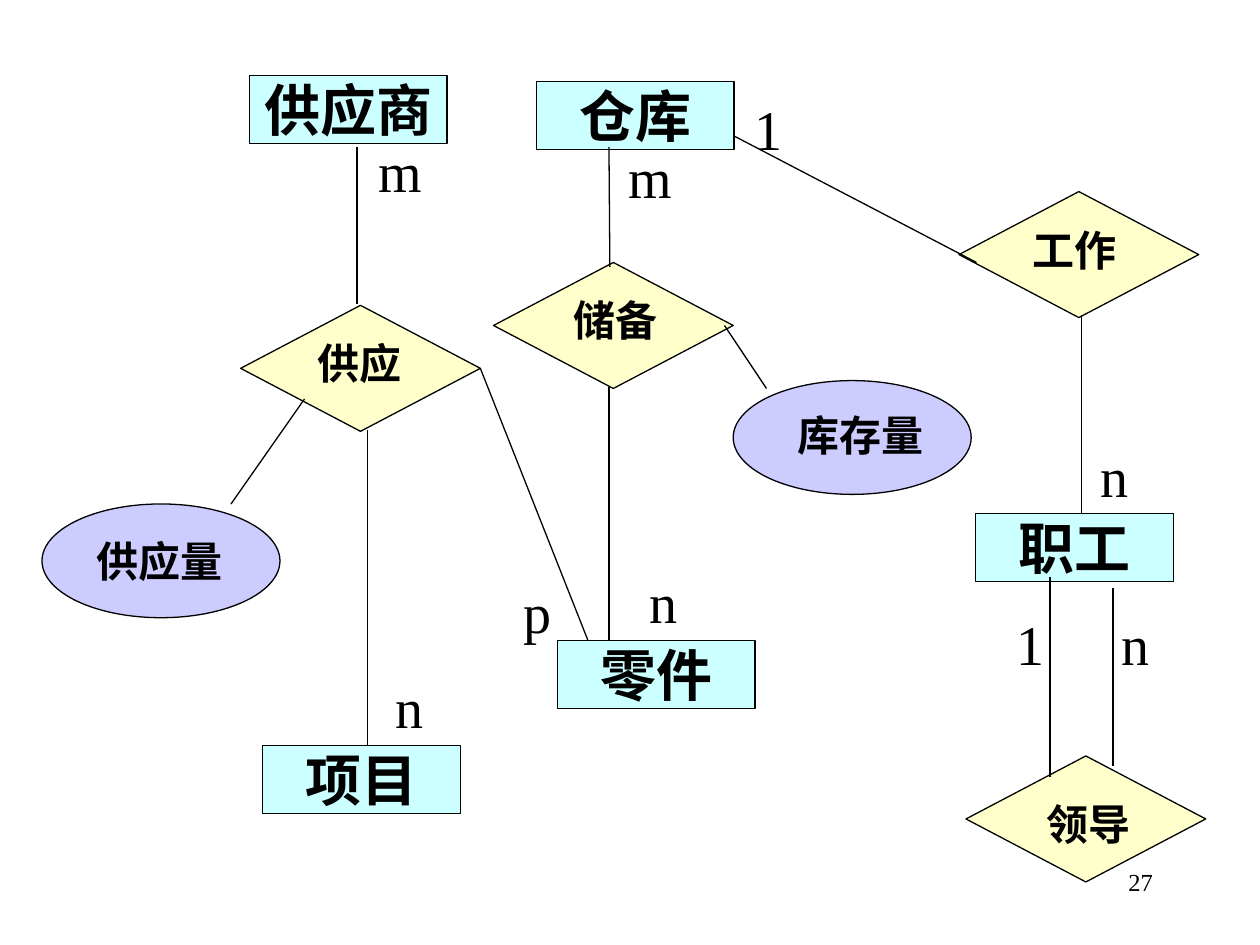
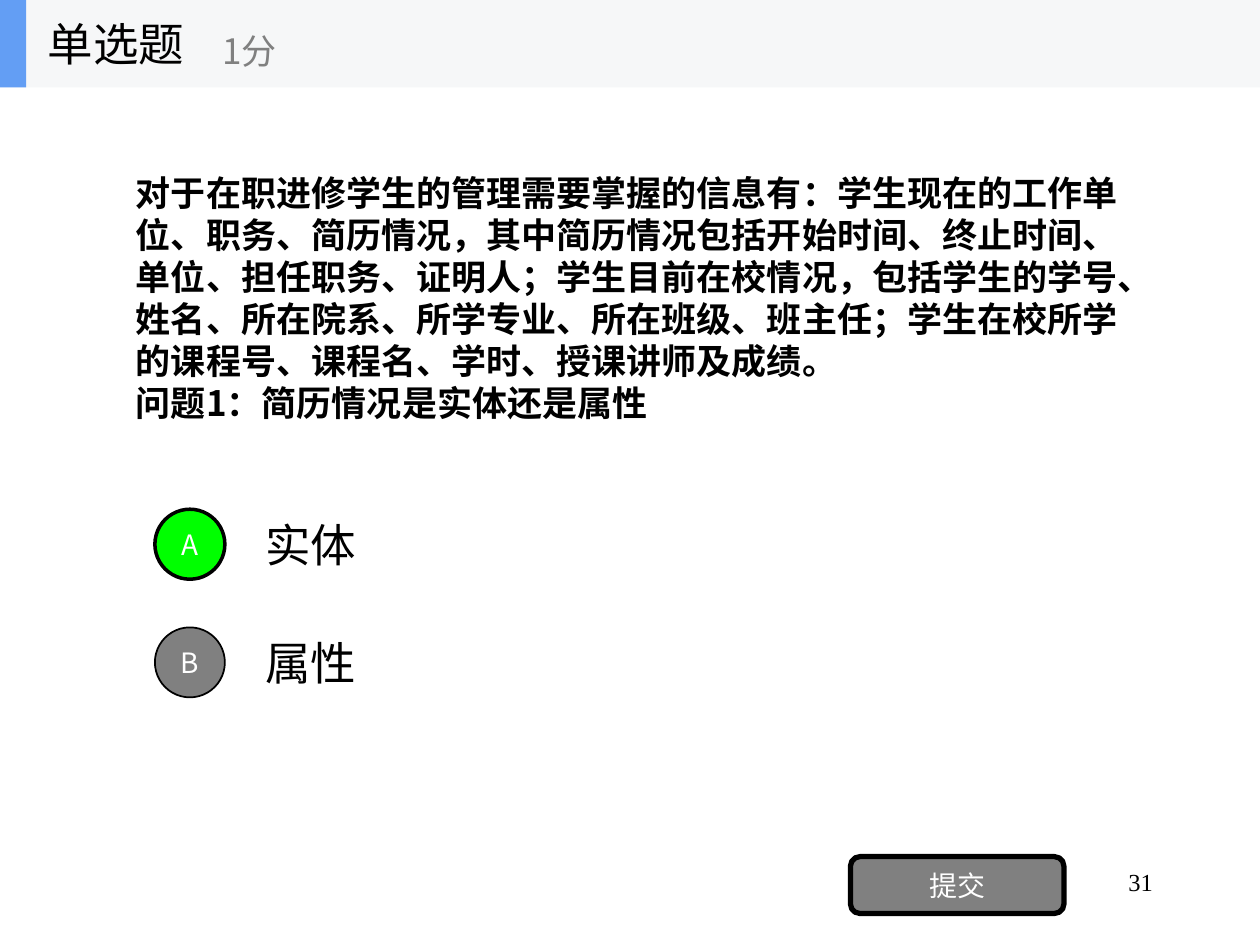
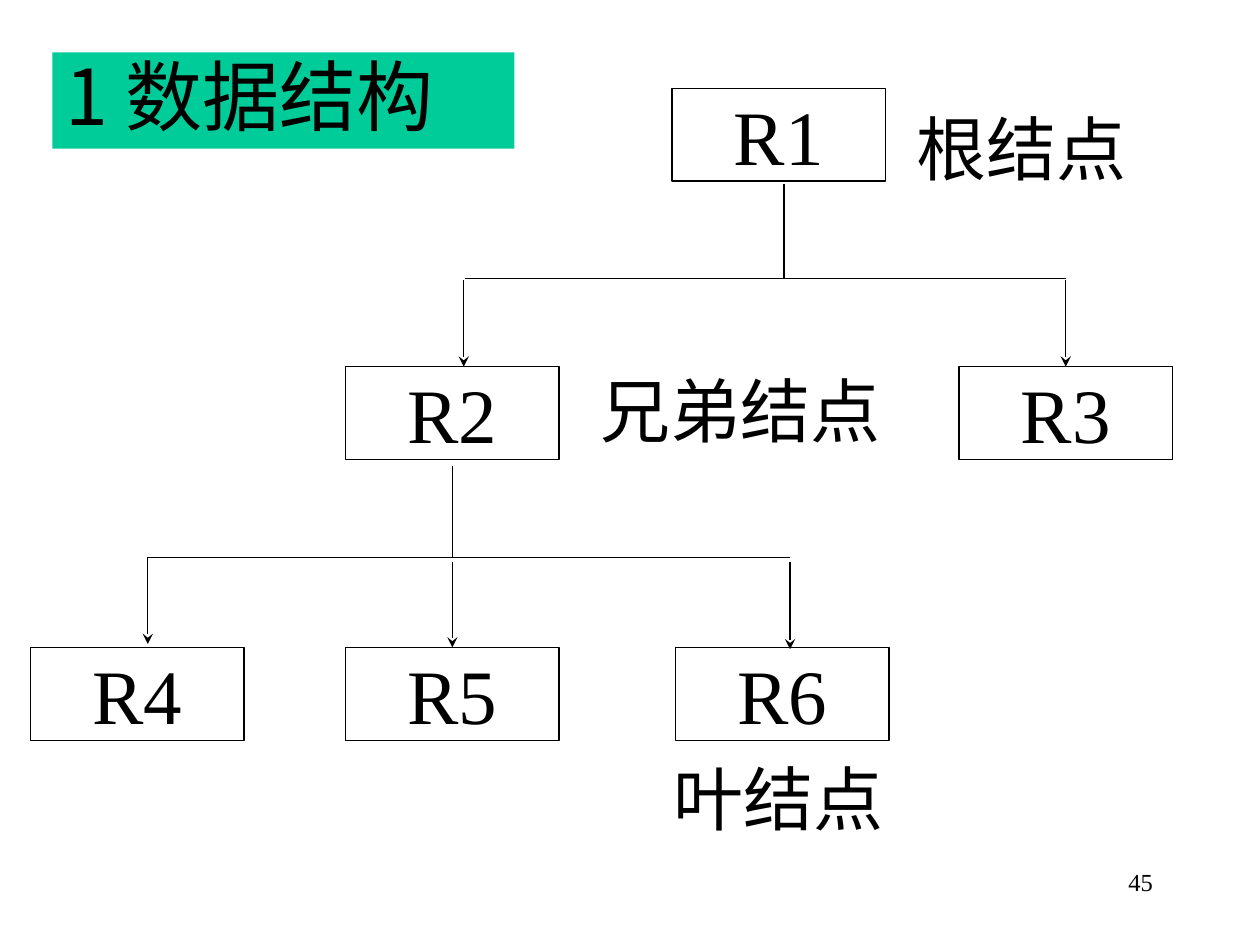
import pptx
import pptx.dml.color
import pptx.enum.shapes
import pptx.enum.text
import pptx.oxml.ns
import pptx.util
from lxml import etree

Pt = pptx.util.Pt
RGBColor = pptx.dml.color.RGBColor
SHAPE = pptx.enum.shapes.MSO_SHAPE
ALIGN = pptx.enum.text.PP_ALIGN
ANCHOR = pptx.enum.text.MSO_ANCHOR
qn = pptx.oxml.ns.qn

BLACK = RGBColor(0x00, 0x00, 0x00)
WHITE = RGBColor(0xFF, 0xFF, 0xFF)
GREY = RGBColor(0x80, 0x80, 0x80)
ENTITY_CYAN = RGBColor(0xCC, 0xFF, 0xFF)
RELATION_YELLOW = RGBColor(0xFF, 0xFF, 0xCC)
ATTRIBUTE_LILAC = RGBColor(0xCC, 0xCC, 0xFF)
CHOSEN_GREEN = RGBColor(0x00, 0xFF, 0x00)
BAND_GREY = RGBColor(0xF6, 0xF7, 0xF8)
BAND_BLUE = RGBColor(0x63, 0x9E, 0xF4)
TITLE_GREEN = RGBColor(0x00, 0xCC, 0x99)
SERIF = "Times New Roman"
SANS = "Noto Sans CJK SC"

# Entity-relationship diagram: all places in points
ENTITY_SIZE, RELATION_SIZE, ATTRIBUTE_SIZE = (113, 39), (137, 72), (136, 65)
ENTITIES = [("供应商", 142.5, 43), ("零件", 318.5, 366), ("项目", 150, 426),
            ("职工", 557.5, 293.5), ("仓库", 306.5, 46.5)]
# name, shape left and top, label left, top and width
RELATIONS = [("供应", 137.5, 174.5, 165.5, 193, 80), ("储备", 282, 150, 312, 168, 80),
             ("领导", 552, 432, 582, 456, 80), ("工作", 548, 109.5, 574, 128, 80)]
ATTRIBUTES = [("库存量", 419, 217.5, 443, 234, 97), ("供应量", 24, 288, 36, 306, 110)]
CARDINALITIES = [("m", 204, 78), ("1", 414, 54), ("n", 624, 348), ("1", 564, 348),
                 ("n", 354, 324), ("m", 346.5, 81.5), ("p", 282, 330),
                 ("n", 209, 384), ("n", 612, 252)]
LINKS = [(204, 84, 204, 174), (348, 221, 348, 366), (348, 84, 348.5, 152.5),
         (600, 330, 600, 444), (636, 336, 636, 438), (558, 150, 420, 78),
         (618, 180, 618, 294), (210, 246, 210, 426), (414, 186, 438, 222),
         (132, 288, 174, 228)]
SUPPLY_TO_PART = (276, 210, 336, 366)

# Quiz
QUIZ_TITLE, QUIZ_SCORE, SUBMIT = "单选题", "1分", "提交"
QUESTION = [
    "对于在职进修学生的管理需要掌握的信息有：学生现在的工作单位、职务、简历情况，"
    "其中简历情况包括开始时间、终止时间、单位、担任职务、证明人；学生目前在校情况，"
    "包括学生的学号、姓名、所在院系、所学专业、所在班级、班主任；"
    "学生在校所学的课程号、课程名、学时、授课讲师及成绩。",
    "问题1：简历情况是实体还是属性",
]
OPTIONS = [("A", "实体", CHOSEN_GREEN, 2), ("B", "属性", GREY, 1)]
OPTION_TOP, OPTION_PITCH = 286, 67.5

# Tree
TREE_TITLE = "1 数据结构"
NODE_SIZE = (122, 53)
NODES = [("R1", 384, 50.5), ("R3", 548, 209.5), ("R2", 197.5, 209.5),
         ("R4", 17.5, 370), ("R5", 197.5, 370), ("R6", 386, 370)]
TREE_LABELS = [("兄弟结点", 336, 210, 174), ("叶结点", 384, 432, 122),
               ("根结点", 522.5, 60, 122)]
BRANCHES = [(84.5, 318.5, 451.5, 318.5), (265.5, 159, 609, 159),
            (448, 105, 448, 159), (258.5, 266.5, 258.5, 318.5)]
# x, top, bottom and the node whose top middle the arrow meets
ARROWS = [(84.5, 318.5, 368, None), (258.5, 321, 370, "R5"), (451.5, 321, 371, None),
          (609, 160, 209.5, "R3"), (265, 160, 209.5, None)]


def write(shape, lines, size, font=SERIF, color=BLACK, bold=False,
          align=ALIGN.LEFT, anchor=ANCHOR.TOP, inset=True, line_spacing=None):
    frame = shape.text_frame
    frame.word_wrap = True
    frame.auto_size = pptx.enum.text.MSO_AUTO_SIZE.NONE
    frame.vertical_anchor = anchor
    frame.margin_left = frame.margin_right = Pt(7.2 if inset else 0)
    frame.margin_top = frame.margin_bottom = Pt(3.6 if inset else 0)
    frame.text = "\n".join(lines)
    for para in frame.paragraphs:
        para.alignment = align
        para.space_before = Pt(0)
        if line_spacing:
            para.line_spacing = line_spacing
        properties = para._p.get_or_add_pPr()
        if shape.is_placeholder:
            properties.set("marL", "0")
            properties.set("indent", "0")
            etree.SubElement(properties, qn("a:buNone"))
        para.font.size = Pt(size)
        para.font.name = font
        para.font.bold = bold
        para.font.color.rgb = color
        east_asian = etree.SubElement(properties.find(qn("a:defRPr")), qn("a:ea"))
        east_asian.set("typeface", SANS)


def place(shape, left, top, width, height):
    shape.left, shape.top, shape.width, shape.height = map(Pt, (left, top, width, height))


def add_text(slide, text, left, top, width, height, size, **style):
    box = slide.shapes.add_textbox(Pt(left), Pt(top), Pt(width), Pt(height))
    write(box, [text], size, **style)


def add_label(slide, text, left, top, width, height, size, bold=False):
    """Add a centred text box without insets."""
    add_text(slide, text, left, top, width, height, size, bold=bold,
             align=ALIGN.CENTER, inset=False)


def add_figure(slide, kind, left, top, width, height, fill=None, line_width=0.75):
    figure = slide.shapes.add_shape(kind, Pt(left), Pt(top), Pt(width), Pt(height))
    figure.shadow.inherit = False
    if fill is None:
        figure.fill.background()
    else:
        figure.fill.solid()
        figure.fill.fore_color.rgb = fill
    if line_width:
        figure.line.color.rgb = BLACK
        figure.line.width = Pt(line_width)
    else:
        figure.line.fill.background()
    return figure


def add_named_box(slide, text, left, top, box_size, size, fill=None, bold=False):
    box = add_figure(slide, SHAPE.RECTANGLE, left, top, *box_size, fill)
    write(box, [text], size, bold=bold, align=ALIGN.CENTER, inset=False)
    return box


def add_line(slide, x1, y1, x2, y2, arrow=False):
    line = slide.shapes.add_connector(pptx.enum.shapes.MSO_CONNECTOR.STRAIGHT,
                                      Pt(x1), Pt(y1), Pt(x2), Pt(y2))
    line.line.color.rgb = BLACK
    line.line.width = Pt(0.75)
    if arrow:
        etree.SubElement(line.line._get_or_add_ln(), qn("a:tailEnd")).set("type", "stealth")
    etree.SubElement(line._element.spPr, qn("a:effectLst"))
    return line


def add_slide(deck, layout_index, number):
    slide = deck.slides.add_slide(deck.slide_layouts[layout_index])
    add_text(slide, number, 516, 492, 150, 36, 14, align=ALIGN.RIGHT)
    return slide


def build_entity_diagram(deck):
    slide = add_slide(deck, 6, "27")
    for name, left, top in ENTITIES:
        add_named_box(slide, name, left, top, ENTITY_SIZE, 32, ENTITY_CYAN, bold=True)
    figures = {}
    for kind, size, fill, items in (
            (SHAPE.DIAMOND, RELATION_SIZE, RELATION_YELLOW, RELATIONS),
            (SHAPE.OVAL, ATTRIBUTE_SIZE, ATTRIBUTE_LILAC, ATTRIBUTES)):
        for name, left, top, *label in items:
            figures[name] = add_figure(slide, kind, left, top, *size, fill)
    for link in LINKS:
        add_line(slide, *link)
    add_line(slide, *SUPPLY_TO_PART).begin_connect(figures["供应"], 3)
    for name, _, _, left, top, width in RELATIONS + ATTRIBUTES:
        add_label(slide, name, left, top, width, 29, 24, bold=True)
    for mark, left, top in CARDINALITIES:
        add_label(slide, mark, left, top, 50, 38, 32)


def build_quiz(deck):
    slide = add_slide(deck, 1, "31")
    question = slide.placeholders[1]
    place(question, 70.5, 62.5, 576, 214.5)
    write(question, QUESTION, 20, SANS, bold=True, anchor=ANCHOR.MIDDLE)

    for index, (letter, answer, fill, line_width) in enumerate(OPTIONS):
        top = OPTION_TOP + index * OPTION_PITCH
        add_text(slide, answer, 144.5, top, 504, 50, 26, font=SANS, anchor=ANCHOR.MIDDLE)
        circle = add_figure(slide, SHAPE.OVAL, 88.5, top + 5, 40, 40, fill, line_width)
        write(circle, [letter], 16, SANS, WHITE, align=ALIGN.CENTER, anchor=ANCHOR.MIDDLE)
    button = add_figure(slide, SHAPE.ROUNDED_RECTANGLE, 486, 489.5, 122, 32.5, GREY, 3)
    write(button, [SUBMIT], 16, SANS, WHITE, align=ALIGN.CENTER, anchor=ANCHOR.MIDDLE)

    for width, fill in ((720, BAND_GREY), (15, BAND_BLUE)):
        add_figure(slide, SHAPE.RECTANGLE, 0, 0, width, 50, fill, 0)
    title = slide.shapes.title
    place(title, 20, 0, 150, 50)
    write(title, [QUIZ_TITLE], 26, SANS, anchor=ANCHOR.MIDDLE)
    title._element.getparent().append(title._element)  # bring in front of the band
    add_text(slide, QUIZ_SCORE, 120, 9, 180, 40, 20, font=SANS, color=GREY,
             anchor=ANCHOR.MIDDLE)


def build_tree(deck):
    slide = add_slide(deck, 5, "45")
    nodes = {name: add_named_box(slide, name, left, top, NODE_SIZE, 44)
             for name, left, top in NODES}
    for branch in BRANCHES:
        add_line(slide, *branch)
    for x, top, bottom, target in ARROWS:
        arrow = add_line(slide, x, top, x, bottom, arrow=True)
        if target:
            arrow.end_connect(nodes[target], 0)
    for text, left, top, width in TREE_LABELS:
        add_label(slide, text, left, top, width, 48, 40)
    title = slide.shapes.title
    place(title, 30, 30, 264, 55)
    title.fill.solid()
    title.fill.fore_color.rgb = TITLE_GREEN
    write(title, [TREE_TITLE], 44, SANS, line_spacing=0.9)


def main():
    deck = pptx.Presentation()
    deck.slide_width, deck.slide_height = Pt(720), Pt(540)
    build_entity_diagram(deck)
    build_quiz(deck)
    build_tree(deck)
    deck.save("out.pptx")


if __name__ == "__main__":
    main()
